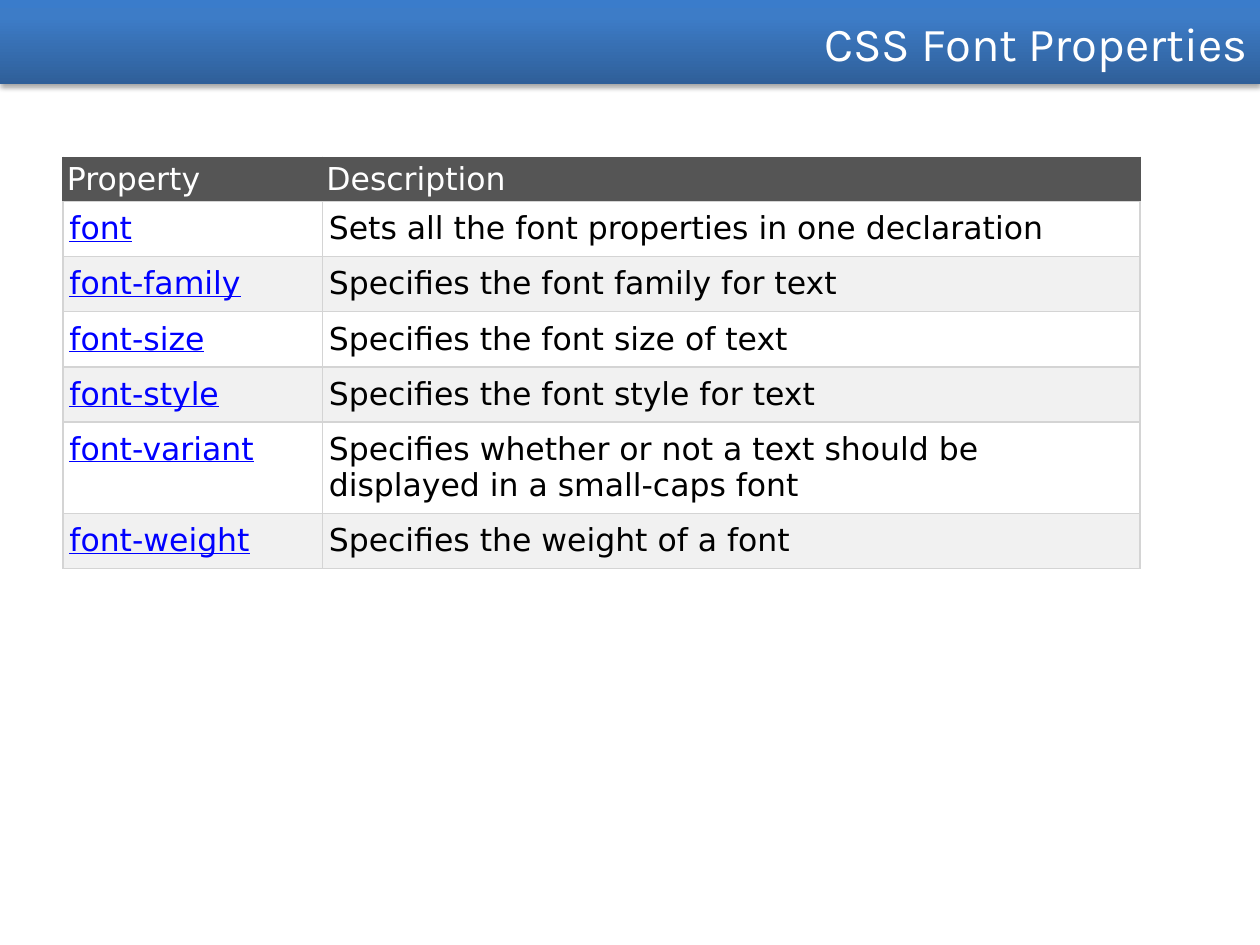
from copy import deepcopy
from typing import Any, NamedTuple

from lxml.etree import SubElement
from pptx import Presentation
from pptx.dml.color import RGBColor
from pptx.enum.shapes import MSO_SHAPE
from pptx.enum.text import MSO_ANCHOR, PP_ALIGN
from pptx.oxml.ns import qn
from pptx.util import Cm, Pt

WHITE = RGBColor(0xFF, 0xFF, 0xFF)
BLACK = RGBColor(0x00, 0x00, 0x00)
LINK = RGBColor(0x00, 0x00, 0xFF)
DARK = RGBColor(0x55, 0x55, 0x55)
PALE = RGBColor(0xF1, 0xF1, 0xF1)
GRID = RGBColor(0xD4, 0xD4, 0xD4)
DEEP = RGBColor(0x2F, 0x5F, 0x99)
BLUE = RGBColor(0x3D, 0x7C, 0xC7)
BRIGHT = RGBColor(0x3A, 0x7C, 0xCB)

WIDTHS = (Cm(5.23), Cm(16.48))


class Row(NamedTuple):
    name: str
    text: str
    height: float = 1.11


class Look(NamedTuple):
    fill: RGBColor
    inks: tuple[RGBColor, RGBColor]
    pad: tuple[float, float]
    edge: RGBColor
    link: bool


ROWS = [
    Row("Property", "Description", 0.89),
    Row("font", "Sets all the font properties in one declaration"),
    Row("font-family", "Specifies the font family for text"),
    Row("font-size", "Specifies the font size of text"),
    Row("font-style", "Specifies the font style for text"),
    Row(
        "font-variant",
        "Specifies whether or not a text should be displayed in a small-caps font",
        1.85,
    ),
    Row("font-weight", "Specifies the weight of a font"),
]

HEAD = Look(DARK, (WHITE, WHITE), (0.08, 0.08), DARK, False)
ODD = Look(WHITE, (LINK, BLACK), (0.13, 0.18), GRID, True)
EVEN = ODD._replace(fill=PALE)


def style(item: Any, form: dict[str, Any]) -> None:
    for key, value in form.items():
        setattr(item, key, value)


def write(frame: Any, text: str, face: str, size: float, ink: RGBColor) -> Any:
    part = frame.paragraphs[0]
    run = part.add_run()
    run.text = text
    style(run.font, {"name": face, "size": Pt(size)})
    run.font.color.rgb = ink
    return part


def tint(node: Any, color: RGBColor) -> Any:
    return SubElement(node, qn("a:srgbClr"), val=str(color))


def draw_banner(slide: Any, text: str) -> None:
    bar = slide.shapes.add_shape(MSO_SHAPE.RECTANGLE, 0, 0, Cm(25.4), Cm(1.7))
    bar.line.fill.background()
    bar.fill.gradient()
    bar.fill.gradient_angle = 90
    stops = bar._element.spPr.find(f".//{qn('a:gsLst')}")
    stops.append(deepcopy(stops[-1]))
    shades = ((0, DEEP), (0.8, BLUE), (1, BRIGHT))
    for stop, (place, color) in zip(bar.fill.gradient_stops, shades):
        stop.position = place
        stop.color.rgb = color

    bar.shadow.inherit = False
    glow = SubElement(
        bar._element.spPr.find(qn("a:effectLst")),
        qn("a:outerShdw"),
        blurRad=str(Pt(3.1)),
        dist=str(Pt(1.8)),
        dir="5400000",
        rotWithShape="0",
    )
    SubElement(tint(glow, BLACK), qn("a:alpha"), val="35000")

    style(bar.text_frame, {"vertical_anchor": MSO_ANCHOR.MIDDLE, "word_wrap": True})
    write(bar.text_frame, text, "Karla", 27, WHITE).alignment = PP_ALIGN.RIGHT


def draw_cell(cell: Any, text: str, look: Look, ink: RGBColor, link: bool) -> None:
    side, top = map(Cm, look.pad)
    style(cell, {
        "margin_left": side,
        "margin_right": side,
        "margin_top": top,
        "margin_bottom": top,
        "vertical_anchor": MSO_ANCHOR.TOP,
    })
    for tag in ("lnL", "lnR", "lnT", "lnB"):
        edge = SubElement(cell._tc.get_or_add_tcPr(), qn(f"a:{tag}"), w=str(Pt(0.75)))
        color = GRID if tag == "lnB" else look.edge
        tint(SubElement(edge, qn("a:solidFill")), color)
    cell.fill.solid()
    cell.fill.fore_color.rgb = look.fill
    part = write(cell.text_frame, text, "DejaVu Sans", 18, ink)
    part.runs[0].font.underline = link


def draw_table(slide: Any, rows: list[Row]) -> None:
    high = Cm(sum(row.height for row in rows))
    frame = slide.shapes.add_table(
        len(rows), len(WIDTHS), Cm(1.27), Cm(3.17), sum(WIDTHS), high
    )
    table = frame.table
    style(table, {"first_row": False, "horz_banding": False})
    for column, width in zip(table.columns, WIDTHS):
        column.width = width
    for i, row in enumerate(rows):
        table.rows[i].height = Cm(row.height)
        look = HEAD if i == 0 else ODD if i % 2 else EVEN
        for j, text in enumerate((row.name, row.text)):
            draw_cell(table.cell(i, j), text, look, look.inks[j], look.link and j == 0)


def main() -> None:
    deck = Presentation()
    style(deck, {"slide_width": Cm(25.4), "slide_height": Cm(19.05)})
    slide = deck.slides.add_slide(deck.slide_layouts[6])
    draw_banner(slide, "CSS Font Properties")
    draw_table(slide, ROWS)
    deck.save("out.pptx")


if __name__ == "__main__":
    main()
